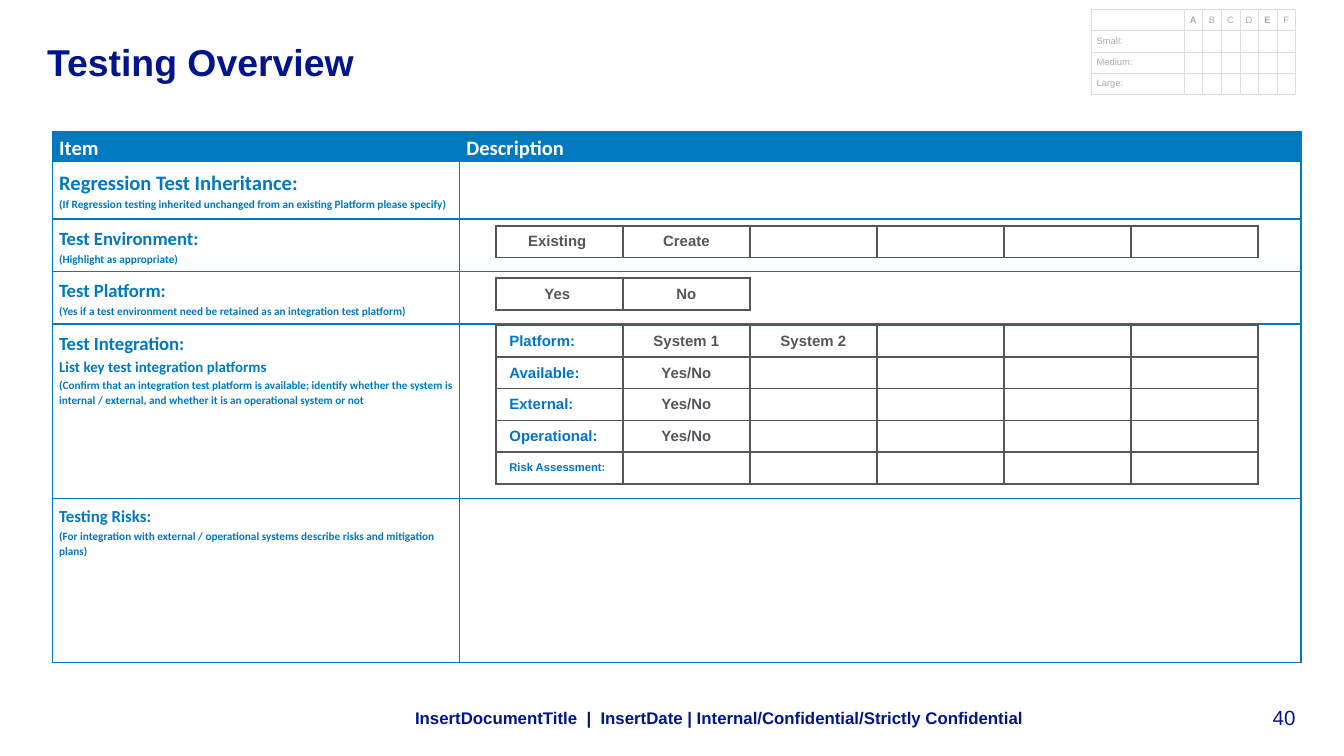
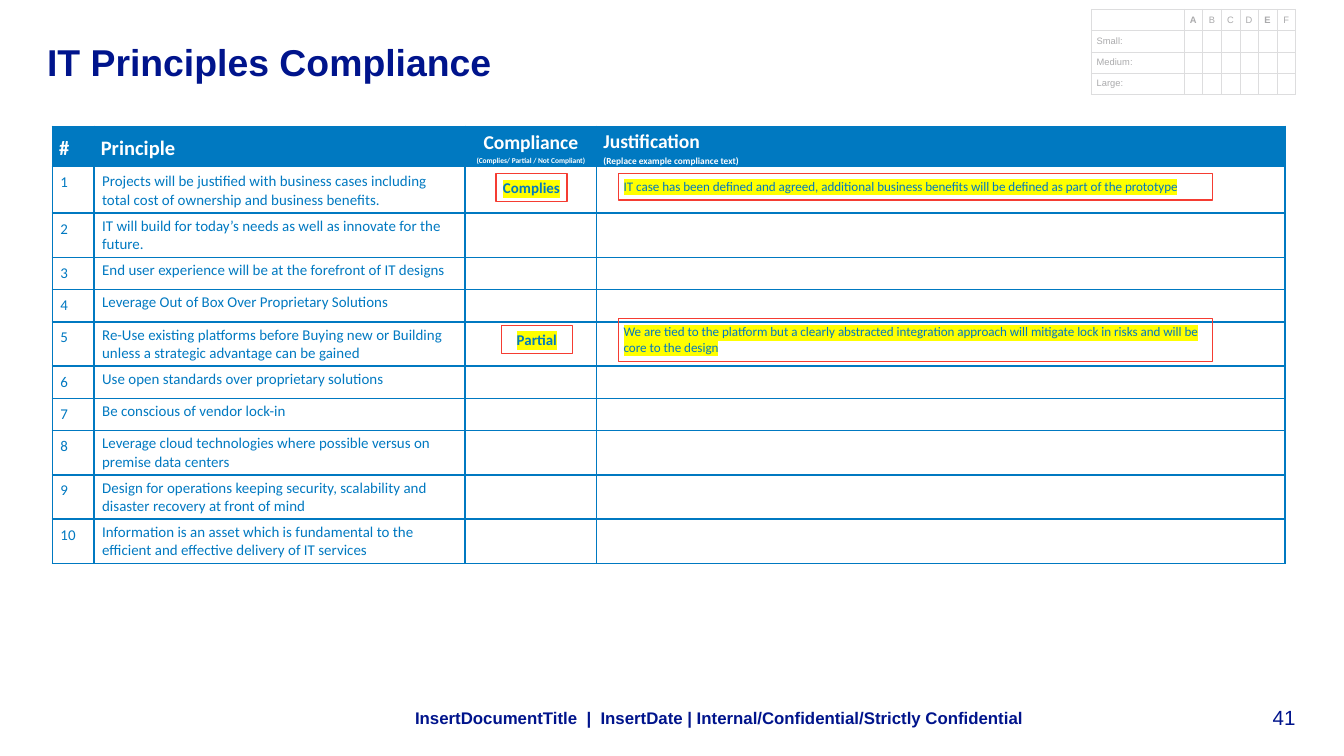
import pptx
import pptx.dml.color
import pptx.enum.shapes
import pptx.enum.text
import pptx.oxml.ns
import pptx.util
from lxml import etree

Inches, Pt, qn = pptx.util.Inches, pptx.util.Pt, pptx.oxml.ns.qn
ALIGN = {"l": pptx.enum.text.PP_ALIGN.LEFT,
         "c": pptx.enum.text.PP_ALIGN.CENTER,
         "r": pptx.enum.text.PP_ALIGN.RIGHT}
ANCHOR = {"t": pptx.enum.text.MSO_ANCHOR.TOP,
          "m": pptx.enum.text.MSO_ANCHOR.MIDDLE,
          "b": pptx.enum.text.MSO_ANCHOR.BOTTOM}

# Shared look
NAVY, BLUE, LABEL_BLUE = "00148C", "0079C1", "0073CD"
GREY, PALE, PALE_TEXT = "55555A", "DDDDDE", "AAAAAC"
WHITE, RED, YELLOW = "FFFFFF", "F53C32", "FFFF00"
FOOTER = "InsertDocumentTitle  |  InsertDate | Internal/Confidential/Strictly Confidential"


def rgb(hex_text):
    return pptx.dml.color.RGBColor.from_string(hex_text)


# Text
def write(tf, paras, size, color, font="Arial", bold=False, align="l",
          after=0, line=None, highlight=None):
    """A paragraph is a string, or a list of (text, size) lines."""
    for i, para in enumerate([paras] if isinstance(paras, str) else paras):
        p = tf.paragraphs[0] if i == 0 else tf.add_paragraph()
        lines = [(para, size)] if isinstance(para, str) else para
        p.alignment = ALIGN[align]
        p.space_after = Pt(after)
        if line:
            p.line_spacing = line
        p.font.name, p.font.bold = font, bold
        p.font.size = Pt(lines[0][1])
        p.font.color.rgb = rgb(color)
        for j, (text, line_size) in enumerate(lines):
            if j:
                p.add_line_break()
                etree.SubElement(p._p[-1], qn("a:rPr"), sz=str(int(lines[j - 1][1] * 100)))
            r = p.add_run()
            r.text = text
            if len(lines) > 1:
                r.font.size = Pt(line_size)
            if highlight:
                mark = etree.SubElement(r._r.get_or_add_rPr(), qn("a:highlight"))
                etree.SubElement(mark, qn("a:srgbClr"), val=highlight)


def set_frame(tf, anchor, inset_x, inset_y):
    tf.word_wrap = True
    tf.vertical_anchor = ANCHOR[anchor]
    tf.margin_left = tf.margin_right = Inches(inset_x)
    tf.margin_top = tf.margin_bottom = Inches(inset_y)


def add_text(s, box, text, size, anchor="t", inset=(0, 0), **style):
    tf = s.shapes.add_textbox(*map(Inches, box)).text_frame
    set_frame(tf, anchor, *inset)
    write(tf, text, size, NAVY, **style)


def add_callout(s, box, text, size, after=2, **style):
    sp = s.shapes.add_shape(pptx.enum.shapes.MSO_SHAPE.RECTANGLE, *map(Inches, box))
    sp.shadow.inherit = False
    sp.fill.background()
    sp.line.color.rgb = rgb(RED)
    sp.line.width = Pt(0.75)
    set_frame(sp.text_frame, "t", 0.04, 0.04)
    write(sp.text_frame, text, size, BLUE, "Calibri", after=after, highlight=YELLOW, **style)


# Tables
def add_border(cell, side, color, width):
    ln = etree.SubElement(cell._tc.get_or_add_tcPr(), qn("a:ln" + side), w=str(Pt(width)))
    etree.SubElement(etree.SubElement(ln, qn("a:solidFill")), qn("a:srgbClr"), val=color)


def set_margins(cell, inset_x, inset_y):
    cell.margin_left = cell.margin_right = Inches(inset_x)
    cell.margin_top = cell.margin_bottom = Inches(inset_y)


def add_grid(s, left, top, cols, rows, color, width=lambda r, c, side: 1):
    tbl = s.shapes.add_table(len(rows), len(cols), Inches(left), Inches(top),
                             Inches(sum(cols)), Inches(sum(rows))).table
    tbl.first_row = tbl.horz_banding = False
    for c, w in enumerate(cols):
        tbl.columns[c].width = Inches(w)
    for r, h in enumerate(rows):
        tbl.rows[r].height = Inches(h)
        for c in range(len(cols)):
            cell = tbl.cell(r, c)
            for side in "LRTB":
                add_border(cell, side, color, width(r, c, side))
            cell.fill.background()
            # Keeps blank cells from stretching their row or column
            etree.SubElement(cell.text_frame.paragraphs[0]._p, qn("a:endParaRPr"), sz="500")
            set_margins(cell, 0.04, 0)
    return tbl


def fill_cell(cell, paras, size, color, anchor="m", inset=(0.05, 0), fill=None, **style):
    cell.vertical_anchor = ANCHOR[anchor]
    set_margins(cell, *inset)
    if fill:
        cell.fill.solid()
        cell.fill.fore_color.rgb = rgb(fill)
    p = cell.text_frame.paragraphs[0]._p
    p.remove(p.find(qn("a:endParaRPr")))
    write(cell.text_frame, paras, size, color, **style)


def add_header(tbl, titles, anchor, centred=()):
    for c, title in enumerate(titles):
        fill_cell(tbl.cell(0, c), title, 11, WHITE, anchor, fill=BLUE, font="Calibri",
                  bold=True, line=1.15, align="c" if c in centred else "l")


def add_size_key(s):
    def width(r, c, side):
        heavy = {"L": c == 0, "T": r < 2, "B": r == 0, "R": False}
        return 0.5 if heavy[side] else 0.25

    tbl = add_grid(s, 8.12, 0.07, [0.69] + [0.83 / 6] * 6, [0.63 / 4] * 4, PALE, width)
    for c, letter in enumerate("ABCDEF", 1):
        fill_cell(tbl.cell(0, c), letter, 5, PALE_TEXT, inset=(0.04, 0), align="c",
                  after=6, bold=letter in "AE")
    for r, label in enumerate(("Small:", "Medium:", "Large:"), 1):
        fill_cell(tbl.cell(r, 0), label, 5, PALE_TEXT, inset=(0.04, 0), after=6)


def add_options(s, top, rows, columns=6):
    """Grey answer grid; entries ending in a colon are row labels."""
    tbl = add_grid(s, 3.69, top, [5.67 / 6] * columns, [1.18 / 5] * len(rows), GREY)
    for r, row in enumerate(rows):
        for c, text in enumerate(row):
            label = text.endswith(":")
            fill_cell(tbl.cell(r, c), text, 6 if text.startswith("Risk") else 8,
                      LABEL_BLUE if label else GREY, inset=(0.1, 0.04), bold=True,
                      align="l" if label else "c", after=6)


def add_base(prs, title, number):
    s = prs.slides.add_slide(prs.slide_layouts[6])
    add_text(s, (9.06, 5.24, 0.58, 0.19), str(number), 11, "b", align="r")
    add_size_key(s)
    add_text(s, (0.35, 0.29, 7.08, 0.47), title, 20, bold=True)
    add_text(s, (2.99, 5.21, 6.33, 0.26), FOOTER, 9, "m", (0.1, 0.05), bold=True, after=6)
    return s


# Slides
def testing_slide(prs):
    s = add_base(prs, "Testing Overview", 40)
    items = [
        [[("Regression Test Inheritance:", 11),
          ("(If Regression testing inherited unchanged from an existing Platform please specify)", 6)]],
        [[("Test Environment:", 10)], [("(Highlight as appropriate)", 6)]],
        [[("Test Platform:", 10)],
         [("(Yes if a test environment need be retained as an integration test platform)", 6)]],
        [[("Test Integration:", 10), ("List key test integration platforms", 8)],
         [("(Confirm that an integration test platform is available; identify whether the system is "
           "internal / external, and whether it is an operational system or not", 6)]],
        [[("Testing Risks:", 9),
          ("(For integration with external / operational systems describe risks and mitigation plans)", 6)]],
    ]
    tbl = add_grid(s, 0.39, 0.98, [3.03, 6.26], [0.22, 0.43, 0.39, 0.39, 1.3, 1.22], BLUE)
    add_header(tbl, ["Item", "Description"], "t")
    for r, item in enumerate(items, 1):
        fill_cell(tbl.cell(r, 0), item, 10, BLUE, "t", (0.05, 0.04), font="Calibri",
                  bold=True, line=1.15)
    add_options(s, 1.68, [["Existing ", "Create"]])
    add_options(s, 2.07, [["Yes ", "No"]], columns=2)
    add_options(s, 2.42, [["Platform:", "System 1", "System 2"], ["Available:", "Yes/No"],
                          ["External:", "Yes/No"], ["Operational:", "Yes/No"],
                          ["Risk Assessment:"]])


def principles_slide(prs):
    s = add_base(prs, "IT Principles Compliance", 41)
    principles = [
        "Projects will be justified with business cases including total cost of ownership and business benefits.",
        "IT will build for today’s needs as well as innovate for the future.",
        "End user experience will be at the forefront of IT designs",
        "Leverage Out of Box Over Proprietary Solutions",
        "Re-Use existing platforms before Buying new or Building unless a strategic advantage can be gained",
        "Use open standards over proprietary solutions",
        "Be conscious of vendor lock-in",
        "Leverage cloud technologies where possible versus on premise data centers",
        "Design for operations keeping security, scalability and disaster recovery at front of mind",
        "Information is an asset which is fundamental to the efficient and effective delivery of IT services ",
    ]
    # Two-line principles need the taller row
    rows = [0.3] + [0.33 if len(text) > 60 else 0.24 for text in principles]
    tbl = add_grid(s, 0.39, 0.94, [0.31, 2.76, 0.98, 5.12], rows, BLUE)
    add_header(tbl, ["#", "Principle",
                     [[("Compliance", 10.5), ("(Complies/ Partial / Not Compliant)", 4)]],
                     [[("Justification", 10.5)], [("(Replace example compliance text)", 5)]]],
               "m", centred=(2,))
    for r, text in enumerate(principles, 1):
        fill_cell(tbl.cell(r, 0), str(r), 8, BLUE, "t", (0.06, 0.05), font="Calibri", after=6)
        fill_cell(tbl.cell(r, 1), text, 8, BLUE, "t", (0.06, 0.03), font="Calibri",
                  after=0 if r == 1 else 6, line=1.07 if r == 1 else None)
    # Example answers
    add_callout(s, (3.69, 1.29, 0.53, 0.21), "Complies", 8, bold=True, align="c")
    add_callout(s, (3.73, 2.42, 0.53, 0.21), "Partial", 8, bold=True, align="c")
    add_callout(s, (4.6, 1.29, 4.42, 0.2),
                "IT case has been defined and agreed, additional business benefits "
                "will be defined as part of the prototype", 7)
    add_callout(s, (4.6, 2.37, 4.42, 0.32),
                "We are tied to the platform but a clearly abstracted integration approach "
                "will mitigate lock in risks and will be core to the design", 7, after=6)


def main():
    prs = pptx.Presentation()
    prs.slide_width, prs.slide_height = Inches(10), Inches(10 * 9 / 16)
    testing_slide(prs)
    principles_slide(prs)
    prs.save("out.pptx")


if __name__ == "__main__":
    main()
